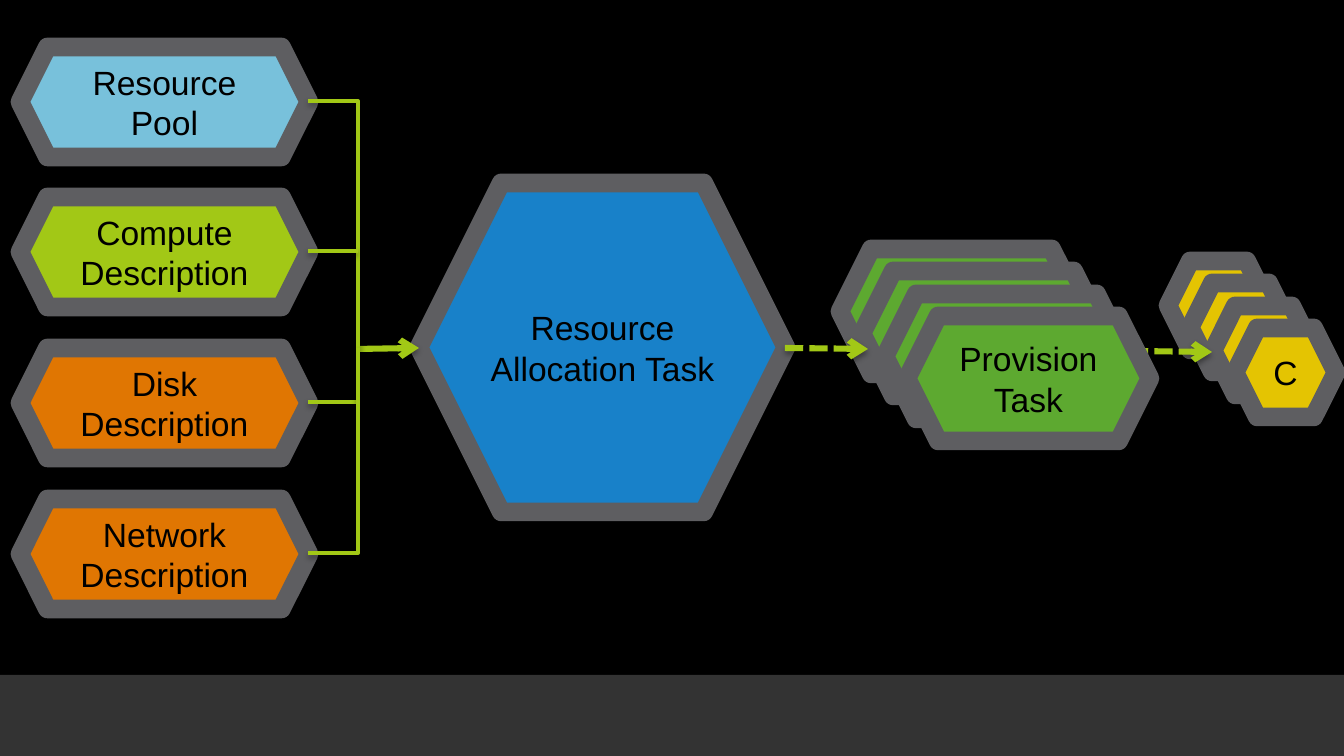
from dataclasses import dataclass

from lxml.etree import SubElement
from pptx import Presentation
from pptx.dml.color import RGBColor
from pptx.enum.dml import MSO_LINE_DASH_STYLE as Dash
from pptx.enum.shapes import MSO_CONNECTOR_TYPE as Connector
from pptx.enum.shapes import MSO_SHAPE as Shape
from pptx.enum.text import MSO_ANCHOR as Anchor
from pptx.enum.text import PP_ALIGN as Align
from pptx.oxml.ns import qn
from pptx.util import Emu, Pt

EMU_PER_INCH = 914400
PIXELS_PER_INCH = 134.4
BLACK, FOOTER, BORDER = "000000", "333333", "5E5E61"
BLUE, SKY, LIME = "1881C9", "78C1DB", "A2C816"
ORANGE, GREEN, YELLOW = "E07602", "5DA930", "E4C402"
BUS_LEFT, BUS_RIGHT, BUS_Y = 308, 358, 348
STACK_STEP = 22.4


@dataclass
class Hexagon:
    left: int
    top: int
    width: int
    height: int
    fill: str
    text: str = ""

    def shifted(self, index: int, text: str = "") -> "Hexagon":
        offset = round(index * STACK_STEP)
        return Hexagon(self.left + offset, self.top + offset,
                       self.width, self.height, self.fill, text)


@dataclass
class Link:
    start: tuple[int, int]
    end: tuple[int, int]
    width: float = 2
    dashed: bool = False
    arrow: bool = False
    bent: bool = False


def px(value: float) -> Emu:
    return Emu(round(value * EMU_PER_INCH / PIXELS_PER_INCH))


def colour(value: str) -> RGBColor:
    return RGBColor.from_string(value)


def write(shape, text: str, *, size: float = 18, font: str = "Arial",
          fill: str = BLACK) -> None:
    frame = shape.text_frame
    frame.word_wrap = True
    frame.vertical_anchor = Anchor.MIDDLE
    para = frame.paragraphs[0]
    para.alignment = Align.CENTER
    span = para.add_run()
    span.text = text
    span.font.size = Pt(size)
    span.font.name = font
    span.font.color.rgb = colour(fill)


def draw_hexagon(page, item: Hexagon) -> None:
    box = page.shapes.add_shape(Shape.HEXAGON, px(item.left), px(item.top),
                                px(item.width), px(item.height))
    box.shadow.inherit = False
    box.fill.solid()
    box.fill.fore_color.rgb = colour(item.fill)
    box.line.color.rgb = colour(BORDER)
    box.line.width = Pt(10)
    SubElement(box.line._get_or_add_ln(), qn("a:round"))
    if item.text:
        write(box, item.text)


def add_shadow(properties) -> None:
    effects = SubElement(properties, qn("a:effectLst"))
    shadow = SubElement(effects, qn("a:outerShdw"), blurRad=str(Pt(3.1)),
                        dist=str(Pt(1.6)), dir="5400000", rotWithShape="0")
    shade = SubElement(shadow, qn("a:srgbClr"), val=BLACK)
    SubElement(shade, qn("a:alpha"), val="38000")


def draw_link(page, item: Link) -> None:
    kind = Connector.ELBOW if item.bent else Connector.STRAIGHT
    line = page.shapes.add_connector(kind, *map(px, item.start + item.end))
    line.line.color.rgb = colour(LIME)
    line.line.width = Pt(item.width)
    if item.dashed:
        line.line.dash_style = Dash.SQUARE_DOT
    properties = line._element.spPr
    if item.bent:
        properties.find(qn("a:prstGeom")).set("prst", "bentConnector2")
    if item.arrow:
        SubElement(properties.find(qn("a:ln")), qn("a:tailEnd"), type="arrow")
    add_shadow(properties)


def draw_footer(page) -> None:
    footer = page.shapes.add_shape(Shape.RECTANGLE, 0, px(675), px(1344), px(81))
    footer.shadow.inherit = False
    footer.fill.solid()
    footer.fill.fore_color.rgb = colour(FOOTER)
    footer.line.fill.background()


allocation = Hexagon(419, 183, 367, 329, BLUE, "Resource Allocation Task")
inputs = [
    Hexagon(20, top, 289, 110, fill, text)
    for top, fill, text in (
        (47, SKY, "Resource Pool"),
        (197, LIME, "Compute Description"),
        (348, ORANGE, "Disk Description"),
        (499, ORANGE, "Network Description"),
    )
]
provision = Hexagon(840, 249, 243, 125, GREEN)
compute = Hexagon(1168, 261, 101, 89, YELLOW)

bus = [Link((BUS_RIGHT, 349), (419, BUS_Y), 3.25, arrow=True)]
for item in inputs:
    middle = item.top + item.height // 2 - 1
    outer = item in (inputs[0], inputs[-1])
    bus.append(Link((BUS_LEFT, middle),
                    (BUS_RIGHT, BUS_Y if outer else middle), bent=outer))

items = [
    allocation, *inputs, *bus,
    *(provision.shifted(index) for index in range(3)),
    Link((785, 348), (868, 349), 3.25, dashed=True, arrow=True),
    *(compute.shifted(index) for index in range(3)),
    Link((1130, 351), (1212, 352), 3.25, dashed=True, arrow=True),
    compute.shifted(3, "C"),
    provision.shifted(3, "Provision Task"),
]

deck = Presentation()
deck.slide_width, deck.slide_height = px(1344), px(756)
page = deck.slides.add_slide(deck.slide_layouts[6])
page.background.fill.solid()
page.background.fill.fore_color.rgb = colour(BLACK)
draw_footer(page)
for item in items:
    if isinstance(item, Hexagon):
        draw_hexagon(page, item)
    else:
        draw_link(page, item)
deck.save("out.pptx")
